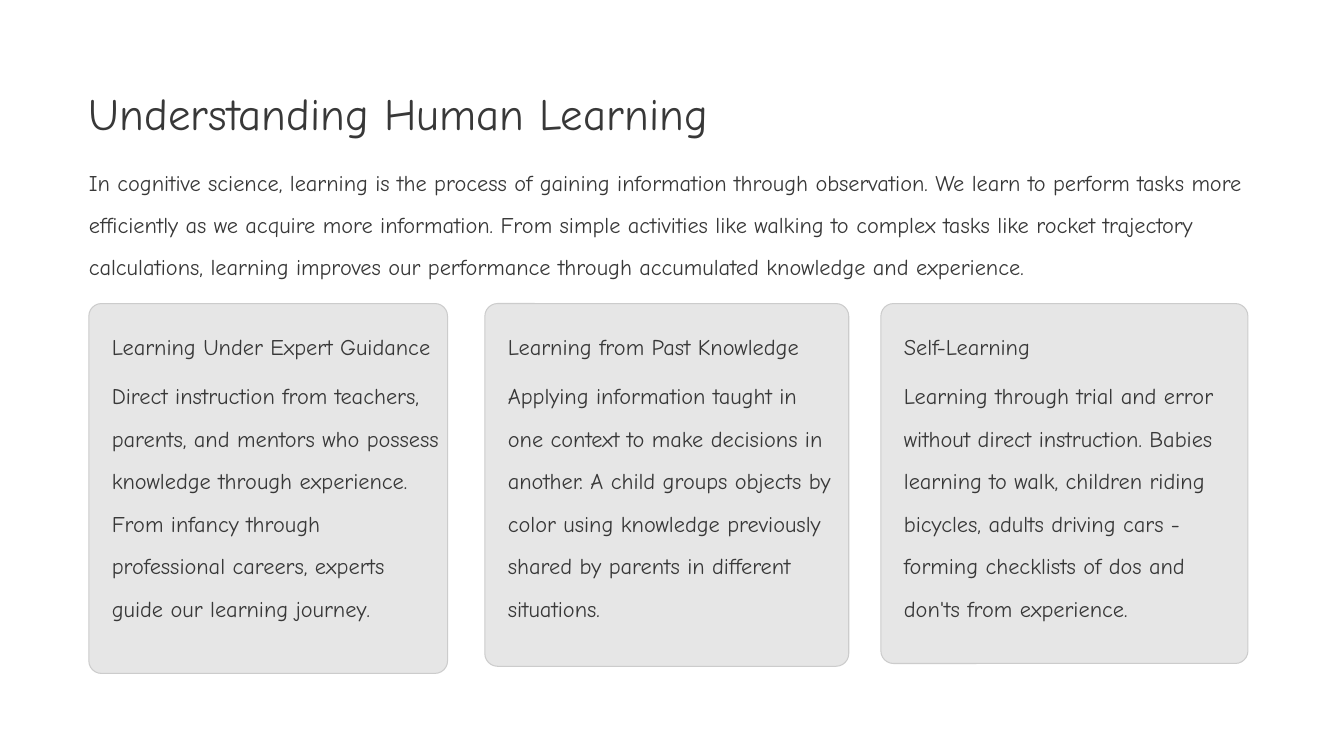
import pptx
import pptx.util
import pptx.dml.color
import pptx.enum.shapes
import pptx.enum.text

Cm = pptx.util.Cm
HUES = {"ink": "383838", "card": "E6E6E6", "edge": "CCCCCC"}
FONT = "Comic Neue"

INTRO = (
    "In cognitive science, learning is the process of gaining information "
    "through observation. We learn to perform tasks more efficiently as we "
    "acquire more information. From simple activities like walking to complex "
    "tasks like rocket trajectory calculations, learning improves our "
    "performance through accumulated knowledge and experience."
)

# Card size, heading size, heading, body
CARDS = [
    ((9.04, 9.32), (8.74, 0.94), "Learning Under Expert Guidance",
     "Direct instruction from teachers, parents, and mentors who possess "
     "knowledge through experience. From infancy through professional "
     "careers, experts guide our learning journey."),
    ((9.17, 9.14), (9.07, 0.74), "Learning from Past Knowledge",
     "Applying information taught in one context to make decisions in "
     "another. A child groups objects by color using knowledge previously "
     "shared by parents in different situations."),
    ((9.25, 9.07), (5.59, 0.71), "Self-Learning",
     "Learning through trial and error without direct instruction. Babies "
     "learning to walk, children riding bicycles, adults driving cars - "
     "forming checklists of dos and don'ts from experience."),
]


def tint(name):
    return pptx.dml.color.RGBColor.from_string(HUES[name])


def write(shape, text, size=16, lead=1.58, hue="ink"):
    """Fill a shape with one formatted paragraph."""
    frame = shape.text_frame
    frame.word_wrap = True
    frame.auto_size = pptx.enum.text.MSO_AUTO_SIZE.NONE
    frame.vertical_anchor = pptx.enum.text.MSO_ANCHOR.TOP
    frame.margin_left = frame.margin_right = 0
    frame.margin_top = frame.margin_bottom = 0
    para = frame.paragraphs[0]
    para.alignment = pptx.enum.text.PP_ALIGN.LEFT
    para.line_spacing = lead
    para.space_before = pptx.util.Pt(0)
    run = para.add_run()
    run.text = text
    run.font.name = FONT
    run.font.size = pptx.util.Pt(size)
    run.font.color.rgb = tint(hue)


class Deck:
    def __init__(self):
        self.file = pptx.Presentation()
        self.file.slide_width = Cm(33.87)
        self.file.slide_height = Cm(19.05)
        self.slide = self.file.slides.add_slide(self.file.slide_layouts[5])

    def title(self, text, x, y, w, h):
        head = self.slide.shapes.title
        head.left, head.top, head.width, head.height = map(Cm, (x, y, w, h))
        write(head, text, size=32, lead=1.25)

    def text(self, text, x, y, w, h, **style):
        box = self.slide.shapes.add_textbox(Cm(x), Cm(y), Cm(w), Cm(h))
        write(box, text, **style)

    def panel(self, x, y, w, h):
        kind = pptx.enum.shapes.MSO_SHAPE.ROUNDED_RECTANGLE
        box = self.slide.shapes.add_shape(kind, Cm(x), Cm(y), Cm(w), Cm(h))
        box.adjustments[0] = 0.035
        box.shadow.inherit = False
        box.fill.solid()
        box.fill.fore_color.rgb = tint("card")
        box.line.color.rgb = tint("edge")
        box.line.width = pptx.util.Pt(0.75)

    def card(self, x, y, size, label, head, body):
        pad = 0.58
        self.panel(x, y, *size)
        self.text(head, x + pad, y + pad, *label, lead=1.24)
        self.text(body, x + pad, y + 1.6, 8.28, 4.47)


def main():
    deck = Deck()
    left, top, pitch = 2.24, 7.65, 9.98

    # Title and introduction
    deck.title("Understanding Human Learning", left, 1.83, 20.75, 1.5)
    deck.text(INTRO, left, 3.86, 29.39, 2.69)

    # Three kinds of learning
    for i, card in enumerate(CARDS):
        deck.card(left + i * pitch, top, *card)

    deck.file.save("out.pptx")


if __name__ == "__main__":
    main()
